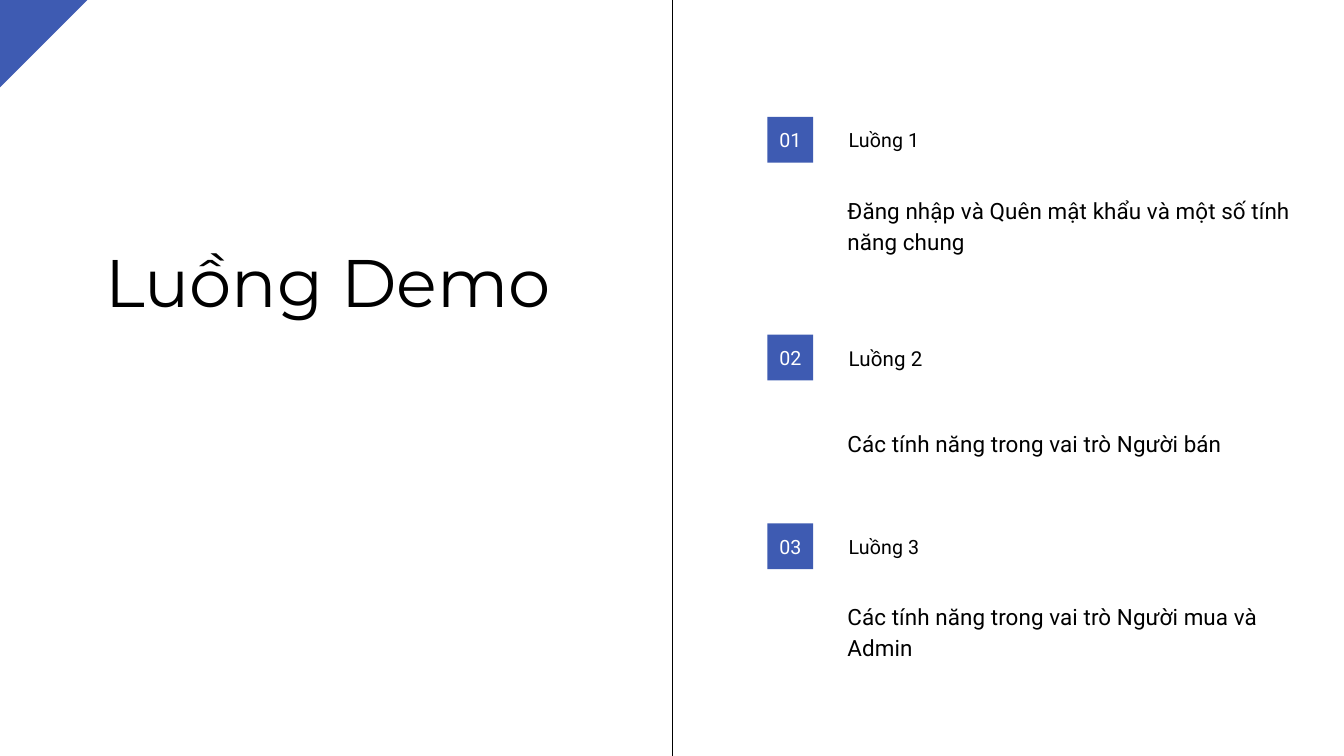
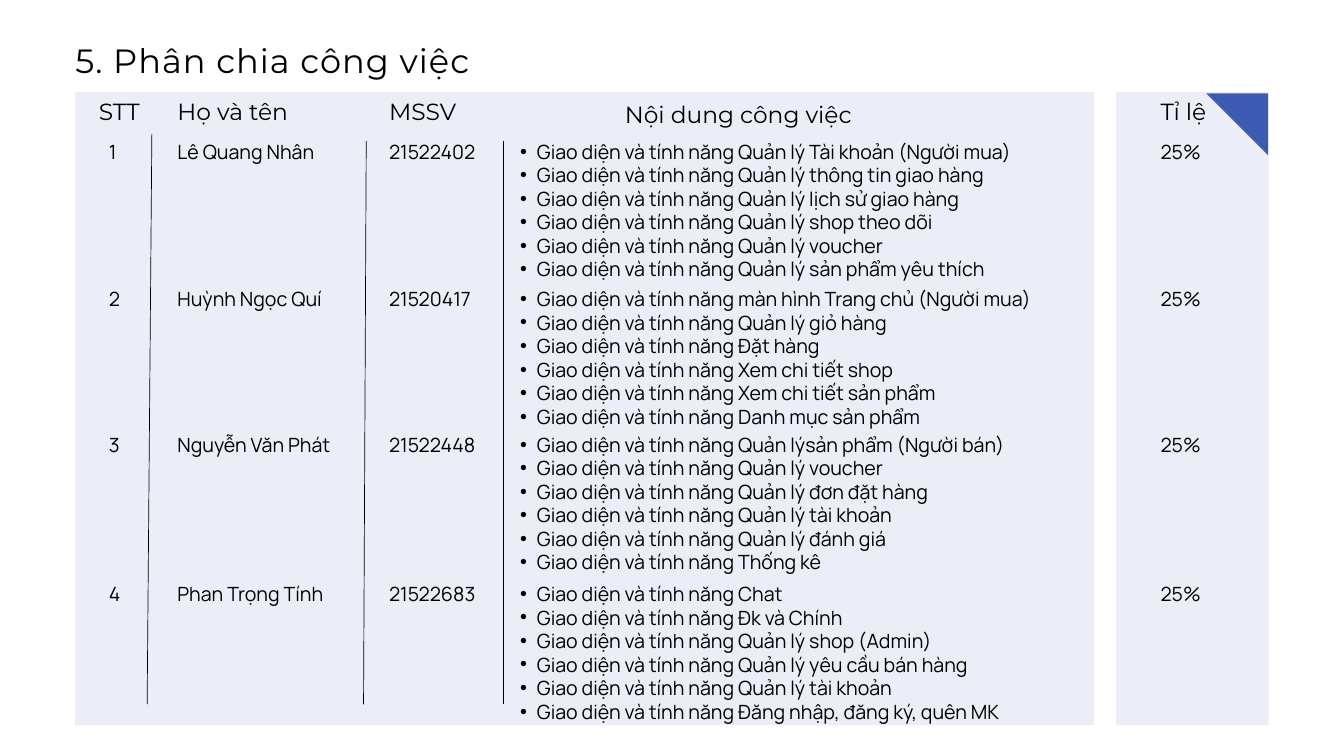
from lxml.etree import SubElement
from pptx import Presentation
from pptx.dml.color import RGBColor
from pptx.enum.shapes import MSO_CONNECTOR, MSO_SHAPE
from pptx.enum.text import MSO_ANCHOR, MSO_AUTO_SIZE, PP_ALIGN
from pptx.oxml.ns import qn
from pptx.util import Inches, Pt

BLUE = RGBColor(0x3E, 0x5B, 0xB2)
BLACK = RGBColor(0, 0, 0)
WHITE = RGBColor(255, 255, 255)
HEAD, BODY, CELL = "Montserrat", "Roboto", "Manrope"


def put(shape, at, lines, font, size, lead=1.2, gap=0, color=BLACK,
        align=PP_ALIGN.LEFT, anchor=MSO_ANCHOR.TOP, bullet=False):
    """Place a shape and fill it with lines; lead is a multiple of the size."""
    shape.left, shape.top, shape.width, shape.height = map(Inches, at)
    frame = shape.text_frame
    frame.word_wrap = True
    frame.auto_size = MSO_AUTO_SIZE.NONE
    frame.vertical_anchor = anchor
    frame.margin_left = frame.margin_right = 0
    frame.margin_top = frame.margin_bottom = 0
    for i, line in enumerate(lines):
        para = frame.add_paragraph() if i else frame.paragraphs[0]
        if bullet:
            para.level = 1
            props = para._p.get_or_add_pPr()
            props.set("marL", str(Inches(0.5)))
            props.set("indent", str(Inches(-0.25)))
            SubElement(props, qn("a:buFont")).set("typeface", "Arial")
            SubElement(props, qn("a:buChar")).set("char", "•")
        para.alignment = align
        para.line_spacing = Pt(round(size * lead, 1))
        para.space_before = para.space_after = Pt(0)
        run = para.add_run()
        run.text = line
        run.font.name = font
        run.font.size = Pt(size)
        run.font.bold = False
        run.font.color.rgb = color
        if gap:
            run._r.get_or_add_rPr().set("spc", str(gap))


def box(slide, at, text, font, size, **style):
    """Add a text box with one line of text."""
    put(slide.shapes.add_textbox(0, 0, 0, 0), at, [text], font, size, **style)


deck = Presentation()
deck.slide_width, deck.slide_height = Inches(20), Inches(11.25)
demo = deck.slides.add_slide(deck.slide_layouts[5])
work = deck.slides.add_slide(deck.slide_layouts[3 + 1])

# Titles
put(demo.shapes.title, (1.57, 3.58, 6.98, 1.2), ["Luồng Demo"], HEAD, 72)
put(work.shapes.title, (1.12, 0.59, 13.57, 0.59),
    ["5. Phân chia công việc"], HEAD, 36, gap=110)

# Demo flows: square top, name size, text top, text
flows = [
    (1.74, 21, 2.86, "Đăng nhập và Quên mật khẩu và một số tính năng chung"),
    (4.98, 22, 6.33, "Các tính năng trong vai trò Người bán"),
    (7.79, 21, 8.91, "Các tính năng trong vai trò Người mua và Admin"),
]
for n, (top, size, low, text) in enumerate(flows, 1):
    square = demo.shapes.add_shape(MSO_SHAPE.RECTANGLE, 0, 0, 0, 0)
    square.shadow.inherit = False
    square.fill.solid()
    square.fill.fore_color.rgb = BLUE
    square.line.fill.background()
    put(square, (11.42, top, 0.68, 0.68), [f"{n:02}"], BODY, 21, color=WHITE,
        align=PP_ALIGN.CENTER, anchor=MSO_ANCHOR.MIDDLE)
    box(demo, (12.63, top + 0.11, 5.71, 0.41), f"Luồng {n}", BODY, size,
        lead=1.4, gap=10)
    box(demo, (12.61, low, 6.98, 0.91), text, BODY, 24, lead=1.4, gap=10)

# Pale panels behind the work plan
for left, width in [(1.12, 15.16), (16.61, 2.27)]:
    panel = work.shapes.add_shape(
        MSO_SHAPE.RECTANGLE, Inches(left), Inches(1.37), Inches(width), Inches(9.42))
    panel.shadow.inherit = False
    panel.fill.solid()
    panel.fill.fore_color.rgb = BLUE
    tint = panel._element.spPr.find(qn("a:solidFill"))[0]
    SubElement(tint, qn("a:alpha")).set("val", "10000")
    panel.line.fill.background()
    panel._element.getparent().insert(2, panel._element)

# Blue corners
for slide, corner in [
    (demo, [(0, 1.3), (0, 0), (1.3, 0)]),
    (work, [(17.95, 1.39), (18.87, 1.39), (18.87, 2.31)]),
]:
    first, *rest = [(Inches(x), Inches(y)) for x, y in corner]
    path = slide.shapes.build_freeform(*first)
    path.add_line_segments(rest, close=True)
    flag = path.convert_to_shape()
    flag.shadow.inherit = False
    flag.fill.solid()
    flag.fill.fore_color.rgb = BLUE
    flag.line.fill.background()

# Column heads
for left, top, width, text in [
    (1.47, 1.45, 1.14, "STT"),
    (2.64, 1.45, 1.86, "Họ và tên"),
    (5.79, 1.45, 1.14, "MSSV"),
    (9.3, 1.49, 3.71, "Nội dung công việc"),
    (17.27, 1.45, 1.14, "Tỉ lệ"),
]:
    box(work, (left, top, width, 0.4), text, HEAD, 25)

# Members: top, name, student number, tasks
START = "Giao diện và tính năng "
team = [
    (2.08, "Lê Quang Nhân", "21522402", [
        "Quản lý Tài khoản (Người mua)",
        "Quản lý thông tin giao hàng",
        "Quản lý lịch sử giao hàng",
        "Quản lý shop theo dõi",
        "Quản lý voucher",
        "Quản lý sản phẩm yêu thích"]),
    (4.27, "Huỳnh Ngọc Quí", "21520417", [
        "màn hình Trang chủ (Người mua)",
        "Quản lý giỏ hàng",
        "Đặt hàng",
        "Xem chi tiết shop",
        "Xem chi tiết sản phẩm",
        "Danh mục sản phẩm"]),
    (6.44, "Nguyễn Văn Phát", "21522448", [
        "Quản lýsản phẩm (Người bán)",
        "Quản lý voucher",
        "Quản lý đơn đặt hàng",
        "Quản lý tài khoản",
        "Quản lý đánh giá",
        "Thống kê"]),
    (8.66, "Phan Trọng Tính", "21522683", [
        "Chat",
        "Đk và Chính",
        "Quản lý shop (Admin)",
        "Quản lý yêu cầu bán hàng",
        "Quản lý tài khoản",
        "Đăng nhập, đăng ký, quên MK"]),
]
for n, (top, name, code, tasks) in enumerate(team, 1):
    for left, width, text in [
        (1.62, 1.14, str(n)), (2.64, 3.13, name),
        (5.79, 1.53, code), (17.27, 1.14, "25%"),
    ]:
        box(work, (left, top, width, 0.36), text, CELL, 21)
    put(work.placeholders[n], (7.49, top, 8.79, 2.08),
        [START + task for task in tasks], CELL, 21, bullet=True)

# Dividing lines
for slide, *ends in [
    (demo, 10, 0, 10, 11.25),
    (work, 2.19, 10.48, 2.26, 1.99),
    (work, 5.41, 10.48, 5.45, 2.1),
    (work, 7.49, 10.48, 7.49, 2.1),
]:
    rule = slide.shapes.add_connector(MSO_CONNECTOR.STRAIGHT, *map(Inches, ends))
    rule.line.color.rgb = BLACK
    rule.line.width = Pt(0.75)
    SubElement(rule._element.spPr, qn("a:effectLst"))

deck.save("out.pptx")
